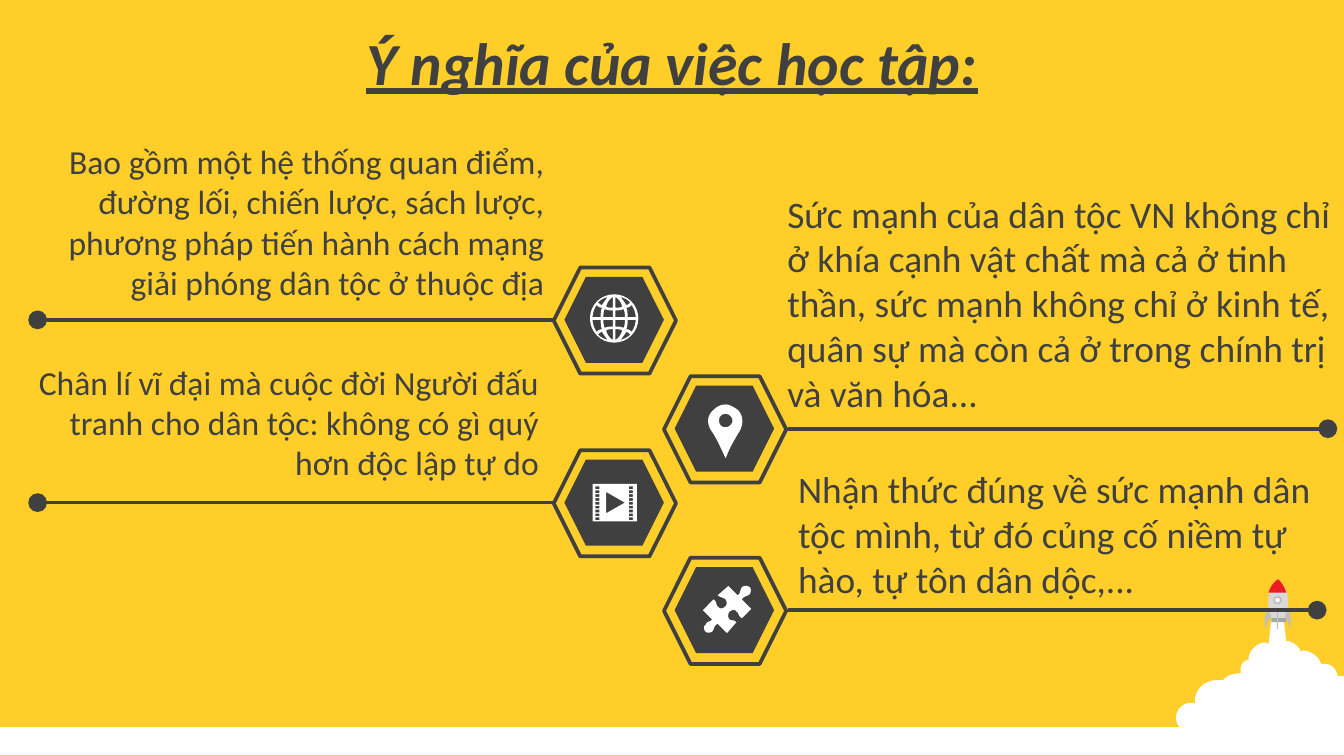
from lxml import etree
from pptx import Presentation
from pptx.dml.color import RGBColor
from pptx.enum.shapes import MSO_CONNECTOR, MSO_SHAPE
from pptx.enum.text import MSO_ANCHOR, MSO_AUTO_SIZE, PP_ALIGN
from pptx.oxml.ns import qn
from pptx.util import Inches, Pt

YELLOW, DARK, WHITE = "FFCE29", "404040", "FFFFFF"
SILVER, LIGHT, STEEL, RED = "BFBFBF", "D9D9D9", "A6A6A6", "ED1C24"
color = RGBColor.from_string


def write_text(frame, text, size=18, align=PP_ALIGN.LEFT, anchor=MSO_ANCHOR.TOP, **styles):
    frame.word_wrap = True
    frame.auto_size = MSO_AUTO_SIZE.NONE
    frame.vertical_anchor = anchor
    paragraph = frame.paragraphs[0]
    paragraph.alignment = align
    run = paragraph.add_run()
    run.text = text
    run.font.name = "Calibri"
    run.font.size = Pt(size)
    run.font.color.rgb = color(DARK)
    for style, value in styles.items():
        setattr(run.font, style, value)


def draw_outline(contours, fill):
    builder = None
    for contour in contours:
        points = []
        for step in contour:
            if len(step) == 2:
                points.append(step)
                continue
            (x0, y0), (x1, y1, x2, y2, x3, y3) = points[-1], step
            for t in [i / 8 for i in range(1, 9)]:
                a, b, c, d = (1 - t) ** 3, 3 * t * (1 - t) ** 2, 3 * t * t * (1 - t), t ** 3
                points.append((a * x0 + b * x1 + c * x2 + d * x3, a * y0 + b * y1 + c * y2 + d * y3))
        points = [(Inches(x), Inches(y)) for x, y in points]
        if builder is None:
            builder = slide.shapes.build_freeform(*points[0], scale=1.0)
        else:
            builder.move_to(*points[0])
        builder.add_line_segments(points[1:], close=True)
    outline = builder.convert_to_shape()
    outline.shadow.inherit = False
    outline.fill.solid()
    outline.fill.fore_color.rgb = color(fill)
    outline.line.fill.background()


prs = Presentation()
prs.slide_width = Inches(10)
prs.slide_height = Inches(10 * 9 / 16)
slide = prs.slides.add_slide(prs.slide_layouts[5])
slide.background.fill.solid()
slide.background.fill.fore_color.rgb = color(YELLOW)

title = slide.shapes.title
title.left, title.top, title.width, title.height = map(Inches, (0, 0.14, 10, 0.63))
write_text(title.text_frame, "Ý nghĩa của việc học tập:", size=32, align=PP_ALIGN.CENTER,
           anchor=MSO_ANCHOR.MIDDLE, bold=True, italic=True, underline=True)

smoke = [
    (9.46, 4.59), (9.55, 4.59), (9.57, 4.77), (9.59, 4.77), (9.62, 4.78, 9.65, 4.8, 9.67, 4.83),
    (9.68, 4.85), (9.69, 4.84), (9.75, 4.84, 9.81, 4.88, 9.83, 4.94), (9.84, 4.94),
    (9.86, 4.94), (9.9, 4.94, 9.94, 4.97, 9.95, 5.02), (9.95, 5.03), (10, 5.03), (10, 5.6),
    (9.98, 5.6), (9.94, 5.6, 9.9, 5.59, 9.87, 5.57), (9.86, 5.56), (9.85, 5.57),
    (9.83, 5.58, 9.81, 5.59, 9.78, 5.59), (9.75, 5.59, 9.73, 5.57, 9.71, 5.55), (9.69, 5.54),
    (9.69, 5.55), (9.67, 5.58, 9.64, 5.59, 9.6, 5.59), (9.57, 5.59, 9.54, 5.58, 9.52, 5.56),
    (9.51, 5.55), (9.49, 5.56), (9.45, 5.59, 9.4, 5.61, 9.34, 5.61),
    (9.23, 5.61, 9.17, 5.56, 9.13, 5.51), (9.11, 5.53, 9.07, 5.54, 9.04, 5.53),
    (9, 5.52, 8.94, 5.5, 8.93, 5.45), (8.93, 5.43), (8.92, 5.44),
    (8.91, 5.45, 8.89, 5.45, 8.86, 5.45), (8.8, 5.45, 8.75, 5.4, 8.75, 5.34),
    (8.75, 5.28, 8.8, 5.23, 8.86, 5.23), (8.88, 5.23), (8.89, 5.24), (8.89, 5.22),
    (8.89, 5.13, 8.96, 5.06, 9.06, 5.06), (9.1, 5.06), (9.11, 5.05),
    (9.14, 5.02, 9.18, 5.01, 9.23, 5.01), (9.23, 4.98), (9.23, 4.95, 9.25, 4.92, 9.28, 4.91),
    (9.29, 4.91), (9.29, 4.89), (9.3, 4.83, 9.36, 4.78, 9.42, 4.78), (9.44, 4.79)]
body = [(9.46, 4.62), (9.44, 4.53, 9.4, 4.4, 9.51, 4.31), (9.62, 4.41, 9.58, 4.54, 9.56, 4.62)]
nose = [(9.51, 4.31), (9.54, 4.34, 9.56, 4.37, 9.57, 4.41), (9.44, 4.41),
        (9.45, 4.37, 9.47, 4.34, 9.51, 4.31)]
left_fin = [(9.44, 4.54), (9.46, 4.59), (9.42, 4.61, 9.43, 4.66, 9.42, 4.68),
            (9.41, 4.65, 9.4, 4.57, 9.44, 4.54)]
right_fin = [(9.58, 4.54), (9.56, 4.59), (9.59, 4.61, 9.59, 4.66, 9.6, 4.68),
             (9.6, 4.65, 9.62, 4.57, 9.58, 4.54)]
for part, fill in [(smoke, WHITE), (body, LIGHT), (nose, RED), (left_fin, SILVER), (right_fin, SILVER)]:
    draw_outline([part], fill)

presets = [
    (MSO_SHAPE.RECTANGLE, (0, 5.41, 10, 0.21), WHITE, None, 0),
    (MSO_SHAPE.RECTANGLE, (9.46, 4.6, 0.11, 0.03), STEEL, None, 0),
    (MSO_SHAPE.OVAL, (9.48, 4.44, 0.05, 0.05), WHITE, SILVER, 1),
    (MSO_SHAPE.RECTANGLE, (9.5, 4.55, 0.01, 0.13), SILVER, None, 0)]
for left, top in [(4.12, 1.99), (4.94, 2.8), (4.12, 3.35), (4.94, 4.15)]:
    presets.append((MSO_SHAPE.HEXAGON, (left, top, 0.91, 0.79), YELLOW, DARK, 2))
    presets.append((MSO_SHAPE.HEXAGON, (left + 0.08, top + 0.07, 0.74, 0.64), DARK, None, 0))
for kind, box, fill, border, weight in presets:
    preset = slide.shapes.add_shape(kind, *map(Inches, box))
    preset.shadow.inherit = False
    preset.fill.solid()
    preset.fill.fore_color.rgb = color(fill)
    if border:
        preset.line.color.rgb = color(border)
        preset.line.width = Pt(weight)
    else:
        preset.line.fill.background()

for start, end, y in [(5.86, 9.88, 3.19), (5.86, 9.8, 4.54), (4.12, 0.28, 2.38), (4.12, 0.28, 3.74)]:
    branch = slide.shapes.add_connector(MSO_CONNECTOR.STRAIGHT, Inches(start), Inches(y), Inches(end), Inches(y))
    branch.line.color.rgb = color(DARK)
    branch.line.width = Pt(2)
    etree.SubElement(branch.line._get_or_add_ln(), qn("a:tailEnd"), type="oval", w="lg", len="lg")
    etree.SubElement(branch._element.spPr, qn("a:effectLst"))

globe_quarter = [
    [(0.01, 0.08), (0.01, 0.16), (0.04, 0.14, 0.05, 0.12, 0.06, 0.09), (0.05, 0.08, 0.03, 0.08, 0.01, 0.08)],
    [(0.01, 0.01), (0.01, 0.06), (0.03, 0.06, 0.05, 0.06, 0.07, 0.07), (0.08, 0.05, 0.08, 0.03, 0.08, 0.01)],
    [(0.1, 0.01), (0.1, 0.04, 0.1, 0.06, 0.09, 0.08), (0.11, 0.08, 0.12, 0.09, 0.13, 0.1),
     (0.15, 0.07, 0.16, 0.04, 0.16, 0.01)],
    [(0.09, 0.1), (0.08, 0.12, 0.06, 0.14, 0.05, 0.16), (0.08, 0.15, 0.1, 0.14, 0.12, 0.12),
     (0.11, 0.11, 0.1, 0.1, 0.09, 0.1)]]
rim = [(0, -0.18), (0.1, -0.18, 0.18, -0.1, 0.18, 0), (0.18, 0.1, 0.1, 0.18, 0, 0.18),
       (-0.1, 0.18, -0.18, 0.1, -0.18, 0), (-0.18, -0.1, -0.1, -0.18, 0, -0.18)]
globe = []
for side_x, side_y in [(1, 1), (1, -1), (-1, 1), (-1, -1)]:
    for pane in globe_quarter + ([rim] if side_x == side_y == 1 else []):
        globe.append([tuple(2.37 + side_y * v if i % 2 else 4.57 + side_x * v for i, v in enumerate(step))
                      for step in pane])

film = [[(4.41, 3.6), (4.74, 3.6), (4.74, 3.88), (4.41, 3.88)], [(4.51, 3.66), (4.51, 3.82), (4.65, 3.74)]]
for hole in range(9):
    y = 3.62 + 0.23 * hole / 8
    for x in (4.43, 4.68):
        film.append([(x, y), (x, y + 0.02), (x + 0.03, y + 0.02), (x + 0.03, y)])

pin = [
    [(5.4, 3.08), (5.37, 3.08, 5.35, 3.1, 5.35, 3.13), (5.35, 3.16, 5.37, 3.18, 5.4, 3.18),
     (5.42, 3.18, 5.45, 3.16, 5.45, 3.13), (5.45, 3.1, 5.42, 3.08, 5.4, 3.08)],
    [(5.4, 3.01), (5.43, 3.01, 5.46, 3.03, 5.49, 3.05), (5.54, 3.1, 5.53, 3.18, 5.49, 3.23),
     (5.45, 3.3, 5.43, 3.33, 5.4, 3.41), (5.36, 3.33, 5.35, 3.3, 5.31, 3.23),
     (5.26, 3.17, 5.25, 3.1, 5.31, 3.05), (5.33, 3.03, 5.36, 3.01, 5.4, 3.01)]]

puzzle = [[
    (5.58, 4.37), (5.59, 4.38, 5.59, 4.4, 5.58, 4.42), (5.56, 4.44, 5.54, 4.43, 5.52, 4.46),
    (5.59, 4.53), (5.52, 4.6), (5.49, 4.58, 5.5, 4.56, 5.48, 4.55), (5.47, 4.53, 5.44, 4.54, 5.43, 4.55),
    (5.42, 4.56, 5.41, 4.59, 5.43, 4.61), (5.45, 4.62, 5.46, 4.61, 5.48, 4.63), (5.41, 4.71),
    (5.34, 4.64), (5.31, 4.66, 5.32, 4.67, 5.3, 4.7), (5.28, 4.71, 5.26, 4.71, 5.25, 4.7),
    (5.24, 4.69, 5.23, 4.66, 5.25, 4.65), (5.26, 4.62, 5.28, 4.63, 5.3, 4.61), (5.23, 4.54),
    (5.31, 4.46), (5.34, 4.48, 5.32, 4.5, 5.35, 4.52), (5.36, 4.53, 5.38, 4.53, 5.4, 4.51),
    (5.41, 4.5, 5.41, 4.48, 5.4, 4.46), (5.37, 4.44, 5.37, 4.45, 5.34, 4.43), (5.42, 4.36),
    (5.49, 4.43), (5.52, 4.4, 5.5, 4.4, 5.52, 4.37), (5.54, 4.35, 5.57, 4.36, 5.58, 4.37)]]
for icon in (globe, film, pin, puzzle):
    draw_outline(icon, WHITE)

meanings = [
    ((0.15, 1, 4, 1.31), 18, PP_ALIGN.RIGHT,
     "Bao gồm một hệ thống quan điểm, đường lối, chiến lược, sách lược, "
     "phương pháp tiến hành cách mạng giải phóng dân tộc ở thuộc địa"),
    ((5.76, 1.37, 4.27, 1.78), 20, PP_ALIGN.LEFT,
     "Sức mạnh của dân tộc VN không chỉ ở khía cạnh vật chất mà cả ở tinh thần, "
     "sức mạnh không chỉ ở kinh tế, quân sự mà còn cả ở trong chính trị và văn hóa..."),
    ((0.11, 2.64, 4, 1.01), 18, PP_ALIGN.RIGHT,
     "Chân lí vĩ đại mà cuộc đời Người đấu tranh cho dân tộc: không có gì quý hơn độc lập tự do"),
    ((5.84, 3.42, 4.27, 1.11), 20, PP_ALIGN.LEFT,
     "Nhận thức đúng về sức mạnh dân tộc mình, từ đó củng cố niềm tự hào, tự tôn dân dộc,...")]
for box, size, align, meaning in meanings:
    write_text(slide.shapes.add_textbox(*map(Inches, box)).text_frame, meaning, size=size, align=align)

prs.save("out.pptx")
